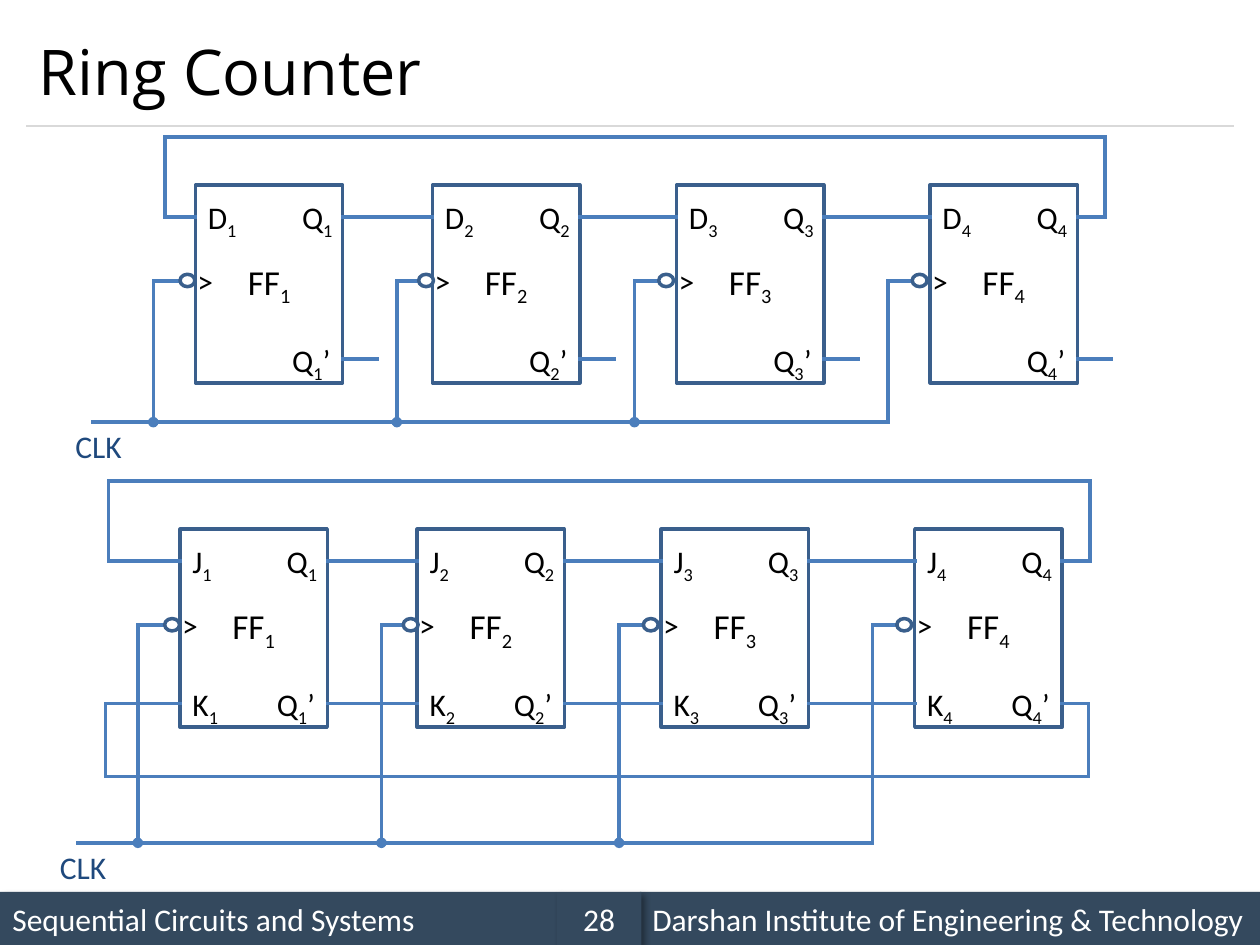
from dataclasses import dataclass
from itertools import pairwise

from pptx import Presentation
from pptx import util as u
from pptx.dml.color import RGBColor
from pptx.enum import shapes, text
from pptx.oxml import parse_xml
from pptx.oxml.ns import nsdecls


@dataclass(frozen=True)
class Theme:
    body_font: str = "Calibri"
    title_font: str = "Open Sans"
    title_size: int = 36
    name_size: int = 20
    label_size: int = 18
    black: str = "000000"
    white: str = "FFFFFF"
    clock: str = "1F497D"
    outline: str = "3A5F8C"
    wire: str = "4B7EBC"
    rule: str = "D9D9D9"
    bar: str = "34495E"
    stroke: float = 2


@dataclass(frozen=True)
class Box:
    left: float
    top: float
    width: float
    height: float

    def inner(self, x, y, width, height):
        return Box(self.left + x, self.top + y, width, height)

    def lengths(self):
        return [u.Cm(v) for v in (self.left, self.top, self.width, self.height)]


THEME = Theme()
# Flip-flop geometry, in cm from the top left corner of each flip-flop
FLIP_FLOP_LEFTS = (0, 4.78, 9.7, 14.81)
FLIP_FLOP_WIDTH, FLIP_FLOP_HEIGHT = 2.97, 3.99
CLOCK_GAPS = (0.85, 0.72, 0.85, 0.85)
BUBBLE_GAPS = (0.31, 0.28, 0.36, 0.36)
TOP_PIN, CLOCK_PIN, LOW_PIN = 0.64, 1.93, 3.51
LABEL_HEIGHT = 1.03
LABEL_WIDTHS = {"D": 1.14, "J": 0.94, "K": 1.07, "Q": 1.14, "Q’": 1.32,
                ">": 0.84, "CLK": 1.45}


def write(frame, words, size, color, align=text.PP_ALIGN.LEFT,
          font=THEME.body_font, subscript=""):
    """Write one line; a subscript goes after the first letters, before a prime."""
    para = frame.paragraphs[0]
    para.alignment = align
    para.font.name = font
    para.font.size = u.Pt(size)
    para.font.color.rgb = RGBColor.from_string(color)
    stem = words.rstrip("’")
    for part, lowered in ((stem, False), (subscript, True), (words[len(stem):], False)):
        if part:
            span = para.add_run()
            span.text = part
            if lowered:
                span._r.get_or_add_rPr().set("baseline", "-25000")


def add_block(parent, kind, box, fill=None, line=None):
    block = parent.shapes.add_shape(kind, *box.lengths())
    block.shadow.inherit = False
    if fill:
        block.fill.solid()
        block.fill.fore_color.rgb = RGBColor.from_string(fill)
    else:
        block.fill.background()
    if line:
        block.line.color.rgb = RGBColor.from_string(line)
        block.line.width = u.Pt(THEME.stroke)
    else:
        block.line.fill.background()
    return block


def add_label(parent, box, x, y, words, subscript="", color=THEME.black):
    place = box.inner(x, y, LABEL_WIDTHS[words], LABEL_HEIGHT)
    frame = parent.shapes.add_textbox(*place.lengths()).text_frame
    frame.word_wrap = False
    frame.auto_size = text.MSO_AUTO_SIZE.SHAPE_TO_FIT_TEXT
    write(frame, words, THEME.label_size, color, subscript=subscript)


def add_wire(parent, box, *points, dot=False, color=THEME.wire, width=THEME.stroke):
    """Join points with straight connectors; a dot marks the first point."""
    for index, (start, end) in enumerate(pairwise(points)):
        ends = [u.Cm(v) for v in (box.left + start[0], box.top + start[1],
                                  box.left + end[0], box.top + end[1])]
        wire = parent.shapes.add_connector(shapes.MSO_CONNECTOR.STRAIGHT, *ends)
        wire.line.color.rgb = RGBColor.from_string(color)
        wire.line.width = u.Pt(width)
        line = wire.line._get_or_add_ln()
        line.set("cap", "sq")
        if dot and index == 0:
            line.append(parse_xml(f'<a:headEnd {nsdecls("a")} type="oval"/>'))
        wire._element.spPr.append(parse_xml(f'<a:effectLst {nsdecls("a")}/>'))


def add_flip_flop(parent, box, number, inputs):
    body = add_block(parent, shapes.MSO_SHAPE.RECTANGLE, box, line=THEME.outline)
    body.text_frame.vertical_anchor = text.MSO_ANCHOR.MIDDLE
    write(body.text_frame, "FF", THEME.name_size, THEME.black,
          text.PP_ALIGN.CENTER, subscript=number)
    for pin, y in zip(inputs, (0.14, 3.02)):
        add_label(parent, box, 0, y, pin, number)
    add_label(parent, box, 1.9, 0.13, "Q", number)
    add_label(parent, box, 1.7, 3.02, "Q’", number)
    add_label(parent, box, -0.21, 1.42, ">")


def add_ring(page, box, inputs, bus, feedback_left):
    """Four chained flip-flops with a clock bus and the loop back to the first."""
    group = page.shapes.add_group_shape()
    for number, left in enumerate(FLIP_FLOP_LEFTS, 1):
        add_flip_flop(group, box.inner(left, 0, FLIP_FLOP_WIDTH, FLIP_FLOP_HEIGHT),
                      str(number), inputs)

    # Clock bus, risers and inverting bubbles
    last = FLIP_FLOP_LEFTS[-1]
    add_wire(group, box, (-2.06, bus), (last - CLOCK_GAPS[-1], bus))
    add_label(group, box, -2.67, bus - 0.02, "CLK", color=THEME.clock)
    for left, gap, bubble in zip(FLIP_FLOP_LEFTS, CLOCK_GAPS, BUBBLE_GAPS):
        add_wire(group, box, (left - gap, bus), (left - gap, CLOCK_PIN),
                 (left - bubble, CLOCK_PIN), dot=left != last)
        add_block(group, shapes.MSO_SHAPE.OVAL,
                  box.inner(left - bubble, CLOCK_PIN - 0.13, 0.3, 0.25),
                  THEME.white, THEME.outline)

    # Chain between neighbours, then the loop over the top
    for left, following in pairwise(FLIP_FLOP_LEFTS):
        add_wire(group, box, (left + FLIP_FLOP_WIDTH, TOP_PIN), (following, TOP_PIN))
    right = last + FLIP_FLOP_WIDTH
    add_wire(group, box, (right, TOP_PIN), (right + 0.56, TOP_PIN), (right + 0.56, -0.97),
             (feedback_left, -0.97), (feedback_left, TOP_PIN), (0, TOP_PIN))
    return group


def add_d_ring(page, box):
    group = add_ring(page, box, "D", 4.78, -0.61)
    # Open complement outputs
    for left in FLIP_FLOP_LEFTS:
        start = left + FLIP_FLOP_WIDTH
        add_wire(group, box, (start, LOW_PIN), (start + 0.69, LOW_PIN))


def add_jk_ring(page, box):
    group = add_ring(page, box, "JK", 6.32, -1.44)
    # Complement outputs feed K, with a loop underneath
    for left, following in pairwise(FLIP_FLOP_LEFTS):
        add_wire(group, box, (left + FLIP_FLOP_WIDTH, LOW_PIN), (following, LOW_PIN))
    right = FLIP_FLOP_LEFTS[-1] + FLIP_FLOP_WIDTH
    add_wire(group, box, (right, LOW_PIN), (right + 0.53, LOW_PIN), (right + 0.53, 4.98),
             (-1.5, 4.98), (-1.5, LOW_PIN), (0, LOW_PIN))


def add_title(page, box, words):
    title = page.shapes.title
    title.left, title.top, title.width, title.height = box.lengths()
    title.text_frame.vertical_anchor = text.MSO_ANCHOR.MIDDLE
    write(title.text_frame, words, THEME.title_size, THEME.black, font=THEME.title_font)
    add_wire(page, box, (0, box.height), (box.width, box.height),
             color=THEME.rule, width=0.75)


def add_footer(page, box):
    cells = (("Sequential Circuits and Systems", 0, 11.23, text.PP_ALIGN.LEFT),
             ("Darshan Institute of Engineering & Technology", 12.9, 12.5, text.PP_ALIGN.LEFT),
             ("28", 11.23, 1.7, text.PP_ALIGN.CENTER))
    for words, x, width, align in cells:
        cell = add_block(page, shapes.MSO_SHAPE.RECTANGLE,
                         box.inner(x, 0, width, box.height), THEME.bar)
        cell._element.spPr.find("{*}effectLst").append(parse_xml(
            f'<a:outerShdw {nsdecls("a")} blurRad="50800" dist="38100" dir="2700000" '
            f'algn="tl"><a:srgbClr val="{THEME.black}"><a:alpha val="40000"/>'
            '</a:srgbClr></a:outerShdw>'))
        cell.text_frame.vertical_anchor = text.MSO_ANCHOR.MIDDLE
        cell.text_frame.word_wrap = True
        write(cell.text_frame, words, THEME.label_size, THEME.white, align)


def main():
    deck = Presentation()
    deck.slide_width, deck.slide_height = u.Cm(25.4), u.Cm(19.05)
    page = deck.slides.add_slide(deck.slide_layouts.get_by_name("Title Only"))
    ring_width = FLIP_FLOP_LEFTS[-1] + FLIP_FLOP_WIDTH
    add_footer(page, Box(0, 17.98, 25.4, 1.07))
    add_title(page, Box(0.53, 0.3, 24.33, 2.24), "Ring Counter")
    add_d_ring(page, Box(3.94, 3.73, ring_width, FLIP_FLOP_HEIGHT))
    add_jk_ring(page, Box(3.63, 10.67, ring_width, FLIP_FLOP_HEIGHT))
    deck.save("out.pptx")


if __name__ == "__main__":
    main()
